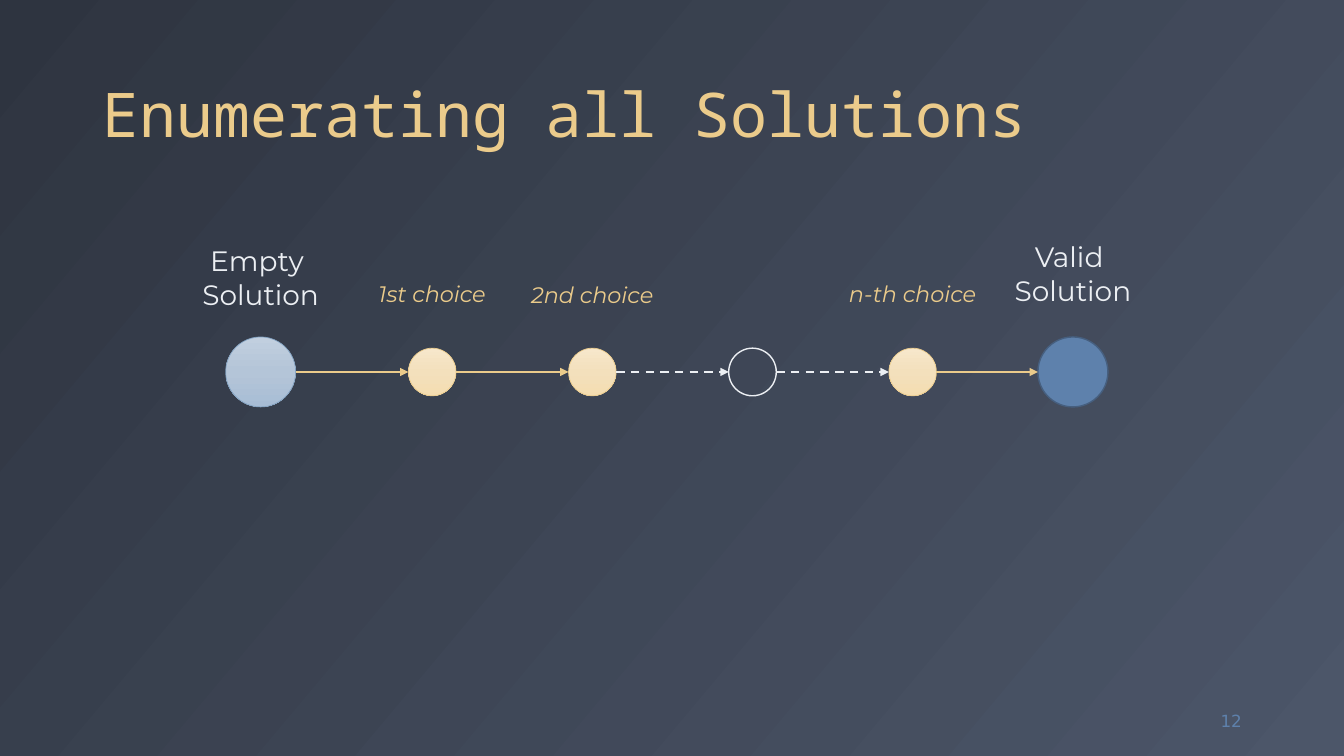
import copy

import pptx
import pptx.dml.color
import pptx.enum.dml
import pptx.enum.shapes
import pptx.enum.text
import pptx.oxml
import pptx.oxml.ns
import pptx.util

Pt = pptx.util.Pt
ALIGN = pptx.enum.text.PP_ALIGN
ANCHOR = pptx.enum.text.MSO_ANCHOR

SAND, SNOW, BLUE = "EBCB8B", "ECEFF3", "5E81AC"
BACKDROP = ["2E3440", "4C5669"]
START_FILL = ["C1CFDF", "B4C5D8", "A8BDD5"]
CHOICE_FILL = ["F7E7CB", "F3E0BC", "F4DDB1"]

AXIS_Y = 265.7
END_SIZE, CHOICE_SIZE = 50, 34
FIRST_CHOICE_X, CHOICE_STEP = 308.7, 114.4


def color(hex_code):
    return pptx.dml.color.RGBColor.from_string(hex_code)


def write(frame, text, size=16, font="Montserrat", hex_code=SNOW, italic=False,
          align=ALIGN.CENTER, anchor=ANCHOR.TOP, wrap=False, spacing=None):
    frame.word_wrap = wrap
    frame.vertical_anchor = anchor
    paragraph = frame.paragraphs[0]
    paragraph.text = text
    paragraph.alignment = align
    paragraph.line_spacing = spacing
    for run in paragraph.runs:
        run.font.size = Pt(size)
        run.font.name = font
        run.font.italic = italic
        run.font.color.rgb = color(hex_code)


def shade(fill, root, hex_codes, angle):
    """Fill with evenly spaced gradient stops; angle is clockwise in degrees."""
    fill.gradient()
    fill.gradient_angle = 360 - angle
    stop_list = next(root.iter(pptx.oxml.ns.qn("a:gsLst")))
    for _ in hex_codes[2:]:
        stop_list.insert(1, copy.deepcopy(stop_list[0]))
    for i, (stop, hex_code) in enumerate(zip(fill.gradient_stops, hex_codes)):
        stop.position = i / (len(hex_codes) - 1)
        stop.color.rgb = color(hex_code)


class ChoiceDiagram:
    """The slide with its style and one method for each kind of element."""

    def __init__(self, slide):
        self.slide = slide
        shade(slide.background.fill, slide._element, BACKDROP, 40)

    def title(self, text):
        heading = self.slide.shapes.title
        heading.left, heading.top = Pt(66), Pt(13)
        heading.width, heading.height = Pt(828), Pt(98)
        heading.text_frame.auto_size = pptx.enum.text.MSO_AUTO_SIZE.NONE
        write(heading.text_frame, text, size=44, font="Noto Sans Mono", hex_code=SAND,
              align=ALIGN.LEFT, anchor=ANCHOR.BOTTOM, wrap=True, spacing=0.9)

    def label(self, text, center_x, top, width, height, **text_format):
        box = self.slide.shapes.add_textbox(
            Pt(center_x - width / 2), Pt(top), Pt(width), Pt(height))
        write(box.text_frame, text, **text_format)

    def node(self, center_x, size, fill, outline, weight):
        """Circle on the axis; fill is a hex colour, a list of stops or None."""
        circle = self.slide.shapes.add_shape(
            pptx.enum.shapes.MSO_SHAPE.OVAL, Pt(center_x - size / 2),
            Pt(AXIS_Y - size / 2), Pt(size), Pt(size))
        circle.shadow.inherit = False
        if fill is None:
            circle.fill.background()
        elif isinstance(fill, list):
            shade(circle.fill, circle._element, fill, 90)
        else:
            circle.fill.solid()
            circle.fill.fore_color.rgb = color(fill)
        circle.line.color.rgb = color(outline)
        circle.line.width = Pt(weight)

    def arrow(self, start_x, end_x, dashed):
        link = self.slide.shapes.add_connector(
            pptx.enum.shapes.MSO_CONNECTOR.STRAIGHT,
            Pt(start_x), Pt(AXIS_Y), Pt(end_x), Pt(AXIS_Y))
        link.line.width = Pt(1.5)
        link.line.color.rgb = color(SNOW if dashed else SAND)
        if dashed:
            link.line.dash_style = pptx.enum.dml.MSO_LINE.DASH
        properties = link._element.spPr
        head = pptx.oxml.parse_xml(
            f'<a:tailEnd {pptx.oxml.ns.nsdecls("a")} type="triangle"/>')
        properties.find(pptx.oxml.ns.qn("a:ln")).append(head)
        properties.append(pptx.oxml.parse_xml(
            f'<a:effectLst {pptx.oxml.ns.nsdecls("a")}/>'))


def main():
    deck = pptx.Presentation()
    deck.slide_width, deck.slide_height = Pt(960), Pt(540)
    diagram = ChoiceDiagram(deck.slides.add_slide(deck.slide_layouts[5]))

    diagram.title("Enumerating all Solutions")
    diagram.label("12", 864.3, 500.5, 59.8, 28.8, size=12, font="DejaVu Sans",
                  hex_code=BLUE, align=ALIGN.RIGHT, anchor=ANCHOR.MIDDLE, wrap=True)

    choice_xs = [FIRST_CHOICE_X + i * CHOICE_STEP for i in range(4)]
    start_x, goal_x = 186.2, 766.4
    choice_style = (CHOICE_SIZE, CHOICE_FILL, SAND, 0.5)
    skipped_style = (CHOICE_SIZE, None, SNOW, 1)
    nodes = [
        (start_x, END_SIZE, START_FILL, "81A1C1", 0.5),
        (choice_xs[0], *choice_style),
        (choice_xs[1], *choice_style),
        (choice_xs[2], *skipped_style),
        (choice_xs[3], *choice_style),
        (goal_x, END_SIZE, BLUE, "465F7F", 1),
    ]
    for node in nodes:
        diagram.node(*node)
    for source, target in zip(nodes, nodes[1:]):
        diagram.arrow(source[0] + source[1] / 2, target[0] - target[1] / 2,
                      dashed=None in (source[2], target[2]))

    for text, center_x, top in [("Empty \vSolution", start_x, 170.6),
                                ("Valid \vSolution", goal_x, 167.8)]:
        diagram.label(text, center_x, top, 98.6, 55.4, size=20)
    for text, center_x, top, width in [("1st choice", choice_xs[0], 196.6, 92),
                                       ("2nd choice", choice_xs[1], 197.3, 103),
                                       ("n-th choice", choice_xs[3], 196.6, 106.6)]:
        diagram.label(text, center_x, top, width, 26.6, hex_code=SAND, italic=True)

    deck.save("out.pptx")


if __name__ == "__main__":
    main()
